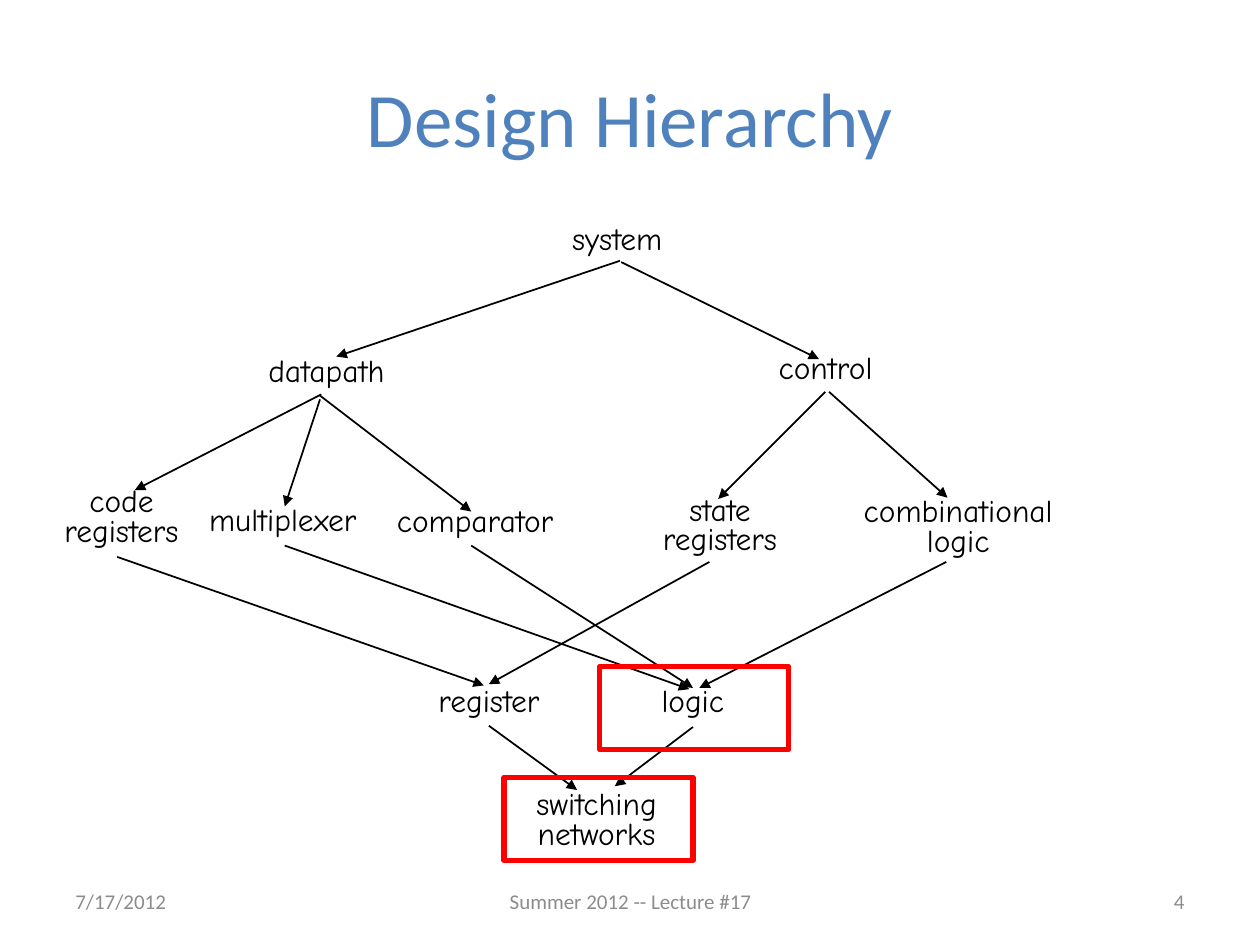
from lxml.etree import SubElement
from pptx import Presentation
from pptx.dml.color import RGBColor
from pptx.enum.shapes import MSO_CONNECTOR, MSO_SHAPE
from pptx.enum.text import MSO_ANCHOR, PP_ALIGN
from pptx.oxml.ns import qn
from pptx.util import Pt

PX = 9144  # EMU per px, 100 px to the inch
COLORS = {"title": "4F81BD", "ink": "000000", "foot": "8C8C8C", "mark": "FF0000"}
LEFT, MID, RIGHT = PP_ALIGN.LEFT, PP_ALIGN.CENTER, PP_ALIGN.RIGHT
ROW = 37   # height of a one-line label
PAIR = 60  # height of a two-line label

# text, left, top, width
LABELS = [
    ("system", 452, 177, 112),
    ("datapath", 211, 282, 133),
    ("control", 616, 280, 111),
    ("code\nregisters", 46, 385, 101),
    ("multiplexer", 164, 400, 149),
    ("comparator", 313, 401, 152),
    ("state\nregisters", 488, 392, 167),
    ("combinational\nlogic", 642, 393, 237),
    ("register", 346, 544, 116),
    ("logic", 523, 544, 92),
    ("switching\nnetworks", 372, 626, 203),
]

# start x, y, end x, y
ARROWS = [
    (493, 208, 650, 285),  # system to control
    (492, 207, 267, 283),  # system to datapath
    (254, 317, 226, 402),  # datapath to its three parts
    (254, 314, 374, 406),
    (255, 313, 107, 389),
    (655, 311, 570, 396),  # control to its two parts
    (658, 311, 752, 395),
    (93, 442, 384, 544),   # parts to register
    (563, 446, 388, 543),
    (374, 433, 550, 546),  # parts to logic
    (226, 433, 547, 547),
    (751, 446, 555, 546),
    (550, 577, 488, 624),  # both to switching networks
    (388, 576, 458, 627),
]

MARKS = [(400, 617), (476, 529)]
MARK_SIZE = (150, 66)

# text, left, width, alignment
FOOTERS = [
    ("7/17/2012", 50, 233, LEFT),
    ("Summer 2012 -- Lecture #17", 342, 317, MID),
    ("4", 717, 233, RIGHT),
]

deck = Presentation()
deck.slide_width, deck.slide_height = 1000 * PX, 750 * PX
slide = deck.slides.add_slide(deck.slide_layouts[6])
shapes = slide.shapes


def emu(*sizes):
    return [size * PX for size in sizes]


def color(name):
    return RGBColor.from_string(COLORS[name])


def write(text, *place, size=12, font="Calibri", ink="foot", align=LEFT,
          anchor=MSO_ANCHOR.MIDDLE, wrap=True, pad=(10, 5), space=None):
    frame = shapes.add_textbox(*emu(*place)).text_frame
    frame.word_wrap = wrap
    frame.vertical_anchor = anchor
    frame.margin_left = frame.margin_right = pad[0] * PX
    frame.margin_top = frame.margin_bottom = pad[1] * PX
    para = frame.paragraphs[0]
    para.text = text
    para.alignment = align
    if space:
        para.line_spacing = Pt(space)
    for run in para.runs:
        run.font.size = Pt(size)
        run.font.name = font
        run.font.color.rgb = color(ink)


def arrow(*ends):
    link = shapes.add_connector(MSO_CONNECTOR.STRAIGHT, *emu(*ends))
    link.line.width = Pt(1)
    link.line.color.rgb = color("ink")
    SubElement(link.line._get_or_add_ln(), qn("a:tailEnd"), type="triangle")
    SubElement(link._element.spPr, qn("a:effectLst"))


def mark(*place):
    box = shapes.add_shape(MSO_SHAPE.RECTANGLE, *emu(*place))
    box.shadow.inherit = False
    box.fill.background()
    box.line.width = Pt(3)
    box.line.color.rgb = color("mark")


write("Design Hierarchy", 50, 30, 900, 125, size=44, ink="title", align=MID)

for text, left, top, width in LABELS:
    pair = "\n" in text
    write(text, left, top, width, PAIR if pair else ROW,
          size=18, font="Comic Neue", ink="ink", align=MID if pair else LEFT,
          anchor=MSO_ANCHOR.TOP, wrap=False, pad=(2, 3), space=17)

for ends in ARROWS:
    arrow(*ends)

for text, left, width, align in FOOTERS:
    write(text, left, 695, width, 40, align=align)

for spot in MARKS:
    mark(*spot, *MARK_SIZE)

deck.save("out.pptx")
